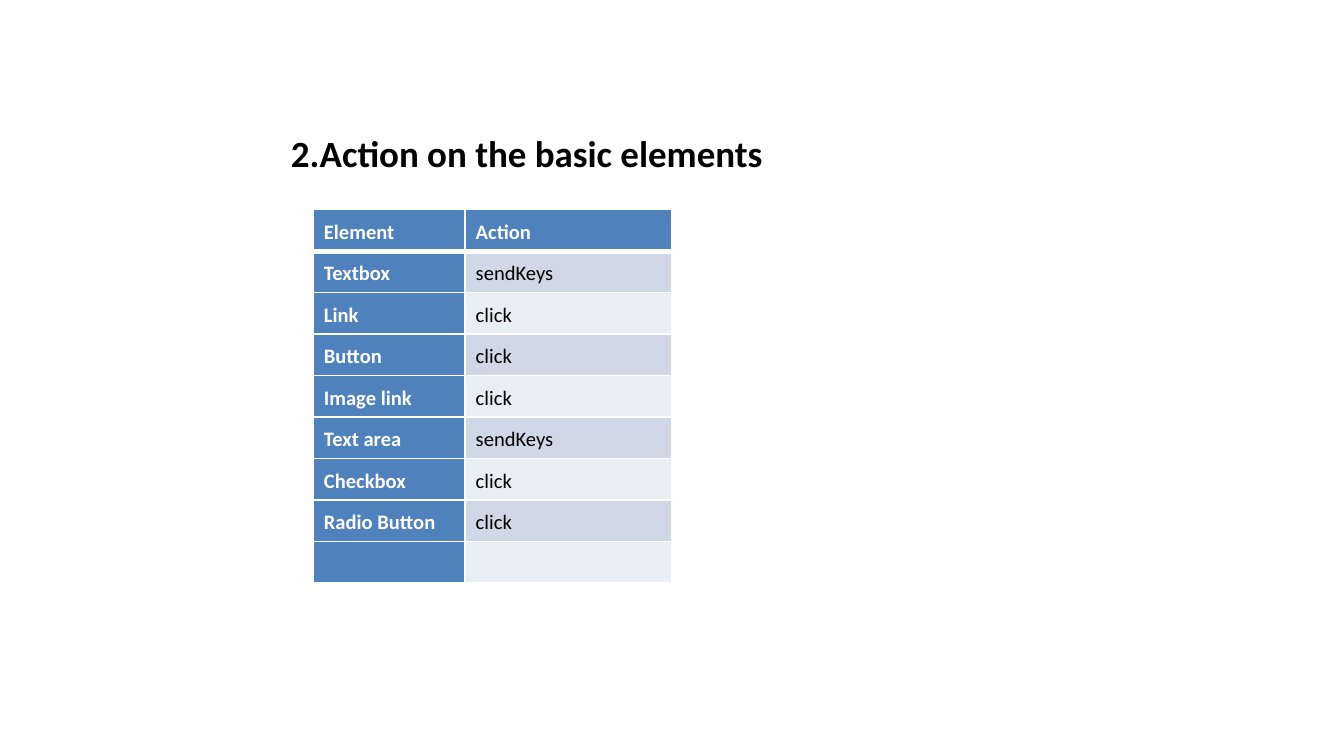
from dataclasses import dataclass

from lxml import etree
from pptx import Presentation
from pptx import util as u
from pptx.dml.color import RGBColor
from pptx.enum import text
from pptx.oxml import ns


@dataclass(frozen=True)
class Theme:
    font: str = "Calibri"
    white: str = "FFFFFF"
    black: str = "000000"
    header: str = "4F81BD"
    bands: tuple[str, str] = ("D0D8E8", "E9EDF4")
    title_size: float = 19.8
    table_size: float = 11
    border: float = 1
    header_border: float = 3


@dataclass(frozen=True)
class ElementAction:
    element: str
    action: str


THEME = Theme()
SLIDE_WIDTH = u.Inches(10)
SLIDE_HEIGHT = SLIDE_WIDTH * 9 // 16
ROWS = [
    ElementAction("Element", "Action"),
    ElementAction("Textbox", "sendKeys"),
    ElementAction("Link", "click"),
    ElementAction("Button", "click"),
    ElementAction("Image link", "click"),
    ElementAction("Text area", "sendKeys"),
    ElementAction("Checkbox", "click"),
    ElementAction("Radio Button", "click"),
    ElementAction("", ""),
]
COLUMN_WIDTHS = (1.13, 1.54)


def set_values(target, values: dict) -> None:
    for name, value in values.items():
        setattr(target, name, value)


def write(paragraph, wording: str, size: float, color: str, bold: bool) -> None:
    run = paragraph.add_run()
    run.text = wording
    set_values(run.font, {"name": THEME.font, "size": u.Pt(size), "bold": bold})
    run.font.color.rgb = RGBColor.from_string(color)


def add_borders(cell, widths: dict[str, float]) -> None:
    properties = cell._tc.get_or_add_tcPr()
    for position, (side, width) in enumerate(widths.items()):
        line = etree.Element(ns.qn(f"a:ln{side}"), w=str(u.Pt(width)))
        fill = etree.SubElement(line, ns.qn("a:solidFill"))
        etree.SubElement(fill, ns.qn("a:srgbClr"), val=THEME.white)
        properties.insert(position, line)


def format_cell(cell, wording: str, row: int, column: int) -> None:
    heading = row == 0 or column == 0
    fill = THEME.header if heading else THEME.bands[(row - 1) % 2]
    cell.fill.solid()
    cell.fill.fore_color.rgb = RGBColor.from_string(fill)
    set_values(cell, {
        "margin_left": u.Inches(0.08),
        "margin_right": u.Inches(0.08),
        "margin_top": 0,
        "margin_bottom": 0,
        "vertical_anchor": text.MSO_ANCHOR.MIDDLE,
    })
    add_borders(cell, {
        "L": THEME.border,
        "R": THEME.border,
        "T": THEME.header_border if row == 1 else THEME.border,
        "B": THEME.header_border if row == 0 else THEME.border,
    })
    if wording:
        paragraph = cell.text_frame.paragraphs[0]
        paragraph.line_spacing = 1.15
        color = THEME.white if heading else THEME.black
        write(paragraph, wording, THEME.table_size, color, heading)


def add_title(slide, wording: str) -> None:
    title = slide.shapes.title
    set_values(title, {
        "left": u.Inches(0.42),
        "top": u.Inches(0.65),
        "width": u.Inches(7),
        "height": u.Inches(0.67),
    })
    set_values(title.text_frame, {
        "word_wrap": True,
        "auto_size": text.MSO_AUTO_SIZE.NONE,
        "vertical_anchor": text.MSO_ANCHOR.BOTTOM,
        "margin_bottom": u.Inches(0.02),
    })
    paragraph = title.text_frame.paragraphs[0]
    paragraph.alignment = text.PP_ALIGN.CENTER
    write(paragraph, wording, THEME.title_size, THEME.black, True)


def add_action_table(slide, rows: list[ElementAction]) -> None:
    table = slide.shapes.add_table(
        len(rows), len(COLUMN_WIDTHS), u.Inches(2.33), u.Inches(1.56),
        u.Inches(sum(COLUMN_WIDTHS)), u.Inches(2.78),
    ).table
    set_values(table, {"first_col": True, "horz_banding": True})
    for column, width in zip(table.columns, COLUMN_WIDTHS):
        column.width = u.Inches(width)
    for row, entry in enumerate(rows):
        for column, wording in enumerate((entry.element, entry.action)):
            format_cell(table.cell(row, column), wording, row, column)


presentation = Presentation()
set_values(presentation, {"slide_width": SLIDE_WIDTH, "slide_height": SLIDE_HEIGHT})
slide = presentation.slides.add_slide(presentation.slide_layouts[5])
add_title(slide, "2.Action on the basic elements")
add_action_table(slide, ROWS)
presentation.save("out.pptx")
